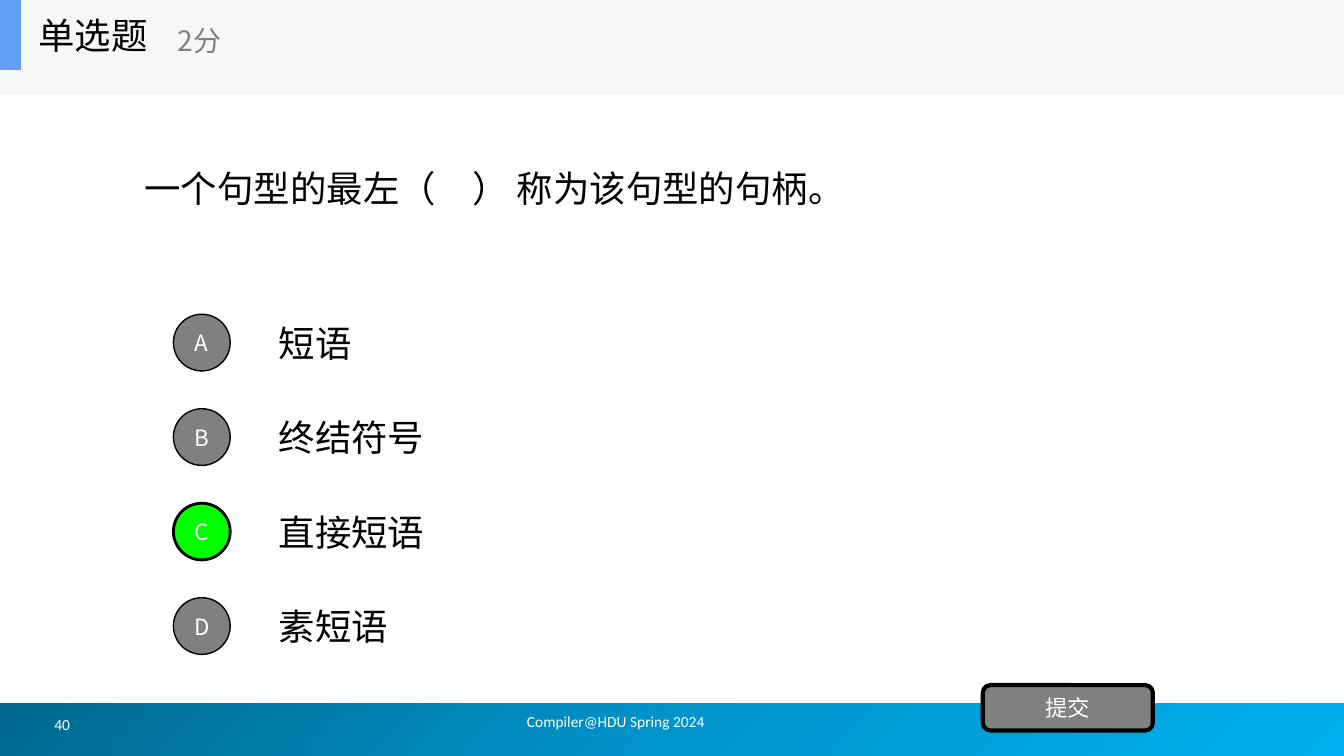
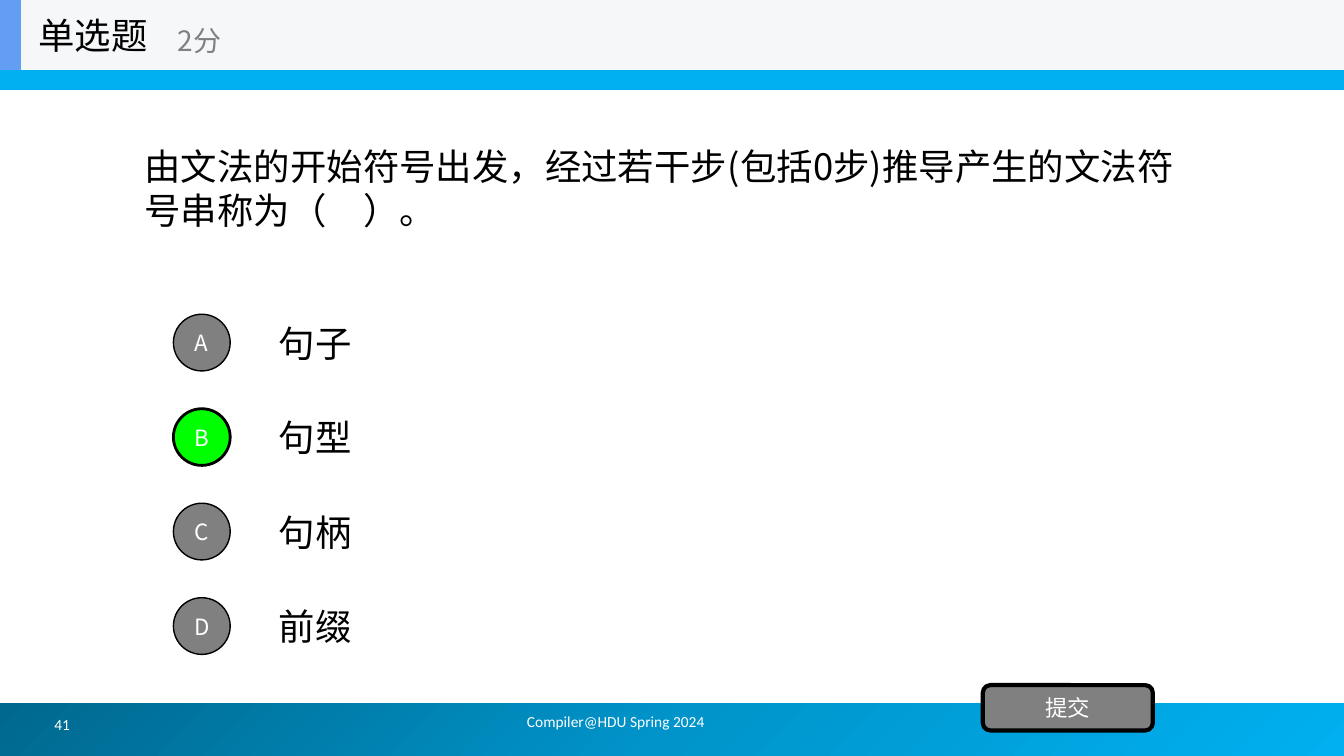
"""Build two single-choice quiz slides on compiler theory."""
from copy import deepcopy

from lxml.etree import SubElement
from pptx import Presentation
from pptx.dml.color import RGBColor as Rgb
from pptx.enum.shapes import MSO_SHAPE as Preset
from pptx.enum.text import MSO_ANCHOR as Anchor, MSO_AUTO_SIZE as AutoSize, PP_ALIGN as Align
from pptx.oxml.ns import qn
from pptx.util import Inches, Pt

COLORS = {
    "black": "000000", "white": "FFFFFF", "gray": "808080", "green": "00FF00",
    "pale": "F6F7F8", "accent": "639EF4", "sky": "00B0F0",
    "deep": "00688E", "mid": "0094CA",
}
COLUMNS, ROWS = 40, 32
HEADER_ROWS = 2.96
STRIPE_TOP, STRIPE_ROWS = 0.09, 3.71
OPTION_TOP, OPTION_STEP = 13, 4

QUESTIONS = [
    dict(number=40, header_rows=4, answer="C",
         question="一个句型的最左（　） 称为该句型的句柄。",
         options=["短语", "终结符号", "直接短语", "素短语"]),
    dict(number=41, header_rows=HEADER_ROWS, answer="B",
         question="由文法的开始符号出发，经过若干步(包括0步)推导产生的文法符号串称为（　）。",
         options=["句子", "句型", "句柄", "前缀"]),
]


def color(name):
    return Rgb.from_string(COLORS[name])


def write(shape, text, size=26, ink="black", font="Noto Sans CJK SC", align=Align.LEFT, wrap=True):
    frame = shape.text_frame
    frame.auto_size = AutoSize.NONE
    frame.word_wrap = wrap
    frame.vertical_anchor = Anchor.MIDDLE
    para = frame.paragraphs[0]
    para.alignment = align
    para.space_before = Pt(0)
    span = para.add_run()
    span.text = text
    span.font.size = Pt(size)
    span.font.name = font
    span.font.color.rgb = color(ink)
    SubElement(span.font._element, qn("a:ea")).set("typeface", font)


class QuizDeck:
    def __init__(self):
        self.deck = Presentation()
        self.deck.slide_width = Inches(13.33)
        self.deck.slide_height = Inches(7.5)
        self.slide = None

    def area(self, left, top, width, height):
        column = self.deck.slide_width / COLUMNS
        row = self.deck.slide_height / ROWS
        return round(left * column), round(top * row), round(width * column), round(height * row)

    def shape(self, preset, cells, fill, line_width=0):
        shape = self.slide.shapes.add_shape(preset, *self.area(*cells))
        shape.shadow.inherit = False
        shape.fill.solid()
        shape.fill.fore_color.rgb = color(fill)
        if line_width:
            shape.line.color.rgb = color("black")
            shape.line.width = Pt(line_width)
        else:
            shape.line.fill.background()
        return shape

    def label(self, cells, text, **style):
        box = self.slide.shapes.add_textbox(*self.area(*cells))
        write(box, text, **style)

    def placeholder(self, holder, cells, text):
        holder.left, holder.top, holder.width, holder.height = self.area(*cells)
        write(holder, text)
        holder.element.getparent().append(holder.element)

    def footer(self, number):
        band = self.shape(Preset.RECTANGLE, (0, 29.78, COLUMNS, 2.22), "deep")
        band.fill.gradient()
        band.fill.gradient_angle = 315
        stops = next(band.element.iter(qn("a:gsLst")))
        stops.insert(1, deepcopy(stops[0]))
        for stop, position, name in zip(band.fill.gradient_stops, (0, 0.5, 1), ("deep", "mid", "sky")):
            stop.position = position
            stop.color.rgb = color(name)
        style = dict(size=11, ink="white", font="Calibri")
        self.label((12, 29.48, 12.66, 2.13), "Compiler@HDU Spring 2024", align=Align.CENTER, **style)
        self.label((1.32, 29.61, 8.67, 2.13), str(number), **style)

    def header(self, rows):
        if rows < STRIPE_TOP + STRIPE_ROWS:
            self.shape(Preset.RECTANGLE, (0, STRIPE_TOP, COLUMNS, STRIPE_ROWS), "sky")
        self.shape(Preset.RECTANGLE, (0, 0, COLUMNS, rows), "pale")
        self.shape(Preset.RECTANGLE, (0, 0, 0.62, HEADER_ROWS), "accent")
        self.placeholder(self.slide.shapes.title, (0.84, 0, 6.24, HEADER_ROWS), "单选题")
        self.label((5, 0.51, 7.5, 2.39), "2分", size=20, ink="gray")

    def question(self, text):
        body = self.slide.placeholders[1]
        self.placeholder(body, (4, HEADER_ROWS, 32, 10), text)
        properties = body.text_frame.paragraphs[0]._p.get_or_add_pPr()
        properties.set("marL", "0")
        properties.set("indent", "0")
        SubElement(properties, qn("a:buNone"))

    def button(self, preset, cells, text, fill="gray", line_width=1):
        shape = self.shape(preset, cells, fill, line_width)
        write(shape, text, size=16, ink="white", align=Align.CENTER, wrap=False)

    def option(self, index, letter, text, correct):
        top = OPTION_TOP + index * OPTION_STEP
        self.label((8, top, 28, 3), text)
        fill, line_width = ("green", 2) if correct else ("gray", 1)
        self.button(Preset.OVAL, (5.16, top + 0.3, 1.69, 2.4), letter, fill, line_width)

    def quiz(self, number, header_rows, answer, question, options):
        self.slide = self.deck.slides.add_slide(self.deck.slide_layouts[1])
        self.footer(number)
        self.header(header_rows)
        self.question(question)
        for index, (letter, text) in enumerate(zip("ABCD", options)):
            self.option(index, letter, text, letter == answer)
        self.button(Preset.ROUNDED_RECTANGLE, (29.25, 29, 5.06, 1.92), "提交", line_width=3)


def main():
    quiz_deck = QuizDeck()
    for question in QUESTIONS:
        quiz_deck.quiz(**question)
    quiz_deck.deck.save("out.pptx")


if __name__ == "__main__":
    main()
